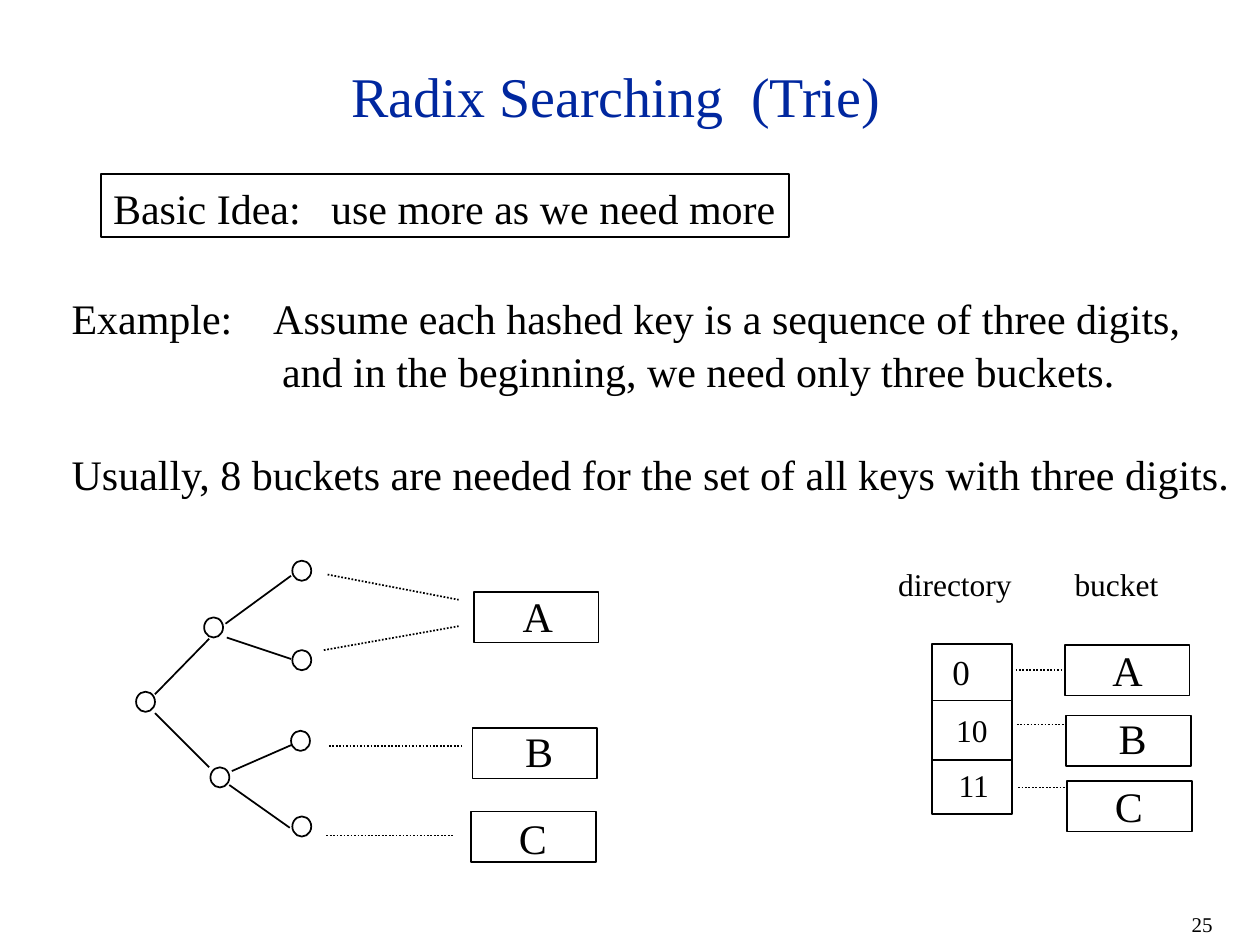
from lxml.etree import SubElement
from pptx import Presentation
from pptx.dml.color import RGBColor
from pptx.enum.dml import MSO_LINE
from pptx.enum.shapes import MSO_CONNECTOR as CONNECTOR, MSO_SHAPE as SHAPE
from pptx.enum.text import MSO_ANCHOR as ANCHOR, PP_ALIGN as ALIGN
from pptx.oxml.ns import qn
from pptx.util import Inches, Pt

BLACK = RGBColor(0x00, 0x00, 0x00)
BLUE = RGBColor(0x00, 0x27, 0x9F)
FONT = "Times New Roman"
WIDTH, HEIGHT = Inches(10), Inches(7.5)
COLUMN, ROW = WIDTH / 100, HEIGHT / 75
NODE_SIZE = (1.5, 1.6)
BUCKET_SIZE = (9.9, 4)
LABEL_SIZE = (4.4, 5)

NODES = {
    "root": (10.8, 54.9),
    "0": (16.2, 49),
    "1": (16.7, 60.9),
    "00": (23.2, 44.5),
    "01": (23.2, 51.6),
    "10": (23.1, 58),
    "11": (23.2, 64.8),
}
BRANCHES = [
    ((12.3, 55.1), (16.6, 50.7)),
    ((17.9, 49.5), (23.1, 45.7)),
    ((18, 50.6), (23.1, 52.3)),
    ((12.3, 56.6), (16.6, 60.9)),
    ((18.4, 61.2), (23.2, 59.1)),
    ((18.2, 62.3), (23, 65.7)),
]
LEAF_LINKS = [
    ((26, 45.6), (36.4, 47.6)),
    ((25.7, 51.6), (36.4, 49.7)),
    ((26.1, 59.2), (36.7, 59.2)),
    ((25.9, 66.3), (36, 66.3)),
]
DIRECTORY_LINKS = [((80.6 + i / 10, y), (84.5 + i / 10, y))
                   for i, y in enumerate((53.2, 57.5, 62.5))]
TRIE_BUCKETS = [
    ("A", (37.6, 47), (40.5, 46.2)),
    ("B", (37.5, 57.8), (40.7, 56.9)),
    ("C", (37.4, 64.4), (40.2, 63.8)),
]
DIRECTORY_BUCKETS = [
    ("A", (84.5, 51.2), (87.3, 50.5)),
    ("B", (84.6, 56.8), (87.8, 55.9)),
    ("C", (84.7, 62), (87.5, 61.3)),
]
DIRECTORY_ENTRIES = [
    ("0", (74.6, 51), 20),
    ("10", (74.9, 55.8), 18),
    ("11", (75.1, 60.2), 18),
]


def grid(*values):
    return [round(value * (ROW if i % 2 else COLUMN)) for i, value in enumerate(values)]


def apply_format(target, values):
    for name, value in values.items():
        setattr(target, name, value)


def set_indent(paragraph, tab=None, left=None):
    properties = paragraph._p.get_or_add_pPr()
    if left is not None:
        properties.set("marL", str(round(left * COLUMN)))
        properties.set("indent", "0")
    if tab is not None:
        stops = SubElement(properties, qn("a:tabLst"))
        SubElement(stops, qn("a:tab"), pos=str(round(tab * COLUMN)), algn="l")


def write(paragraph, text, size, color=BLACK, tab=None, left=None, **layout):
    set_indent(paragraph, tab, left)
    paragraph.text = text
    apply_format(paragraph, {"line_spacing": 1.04, **layout})
    apply_format(paragraph.font, {"name": FONT, "size": Pt(size)})
    paragraph.font.color.rgb = color


def add_text(slide, text, corner, size, box=LABEL_SIZE, wrap=False, anchor=ANCHOR.TOP, **style):
    frame = slide.shapes.add_textbox(*grid(*corner, *box)).text_frame
    apply_format(frame, {"word_wrap": wrap, "vertical_anchor": anchor})
    write(frame.paragraphs[0], text, size, **style)
    return frame


def add_outline(slide, kind, corner, size):
    shape = slide.shapes.add_shape(kind, *grid(*corner, *size))
    shape.shadow.inherit = False
    shape.fill.background()
    shape.line.color.rgb = BLACK
    shape.line.width = Pt(1)
    return shape


def add_line(slide, start, end, dash=None):
    connector = slide.shapes.add_connector(CONNECTOR.STRAIGHT, *grid(*start, *end))
    connector.line.color.rgb = BLACK
    apply_format(connector.line, {"width": Pt(1), "dash_style": dash})
    SubElement(connector._element.spPr, qn("a:effectLst"))


def add_buckets(slide, buckets):
    for label, corner, label_corner in buckets:
        add_outline(slide, SHAPE.RECTANGLE, corner, BUCKET_SIZE)
        add_text(slide, label, label_corner, 24)


def add_headings(slide):
    add_text(slide, "Radix Searching  (Trie)", (8.8, 3.7), 32, (80.2, 7.5), True,
             ANCHOR.MIDDLE, color=BLUE, alignment=ALIGN.CENTER)
    idea = add_outline(slide, SHAPE.RECTANGLE, (8, 13.8), (54.6, 5)).text_frame
    apply_format(idea, {"word_wrap": True, "margin_right": 0, "vertical_anchor": ANCHOR.TOP})
    write(idea.paragraphs[0], "Basic Idea:\tuse more as we need more", 24,
          tab=17.3, alignment=ALIGN.LEFT)
    example = add_text(slide, "Example:\tAssume each hashed key is a sequence of three digits,",
                       (4.7, 22.6), 24, (95, 17), True, tab=16)
    write(example.add_paragraph(), "and in the beginning, we need only three buckets.", 24, left=16.7)
    write(example.add_paragraph(),
          "Usually, 8 buckets are needed for the set of all keys with three digits.",
          24, space_before=Pt(28.8))


def add_trie(slide):
    for corner in NODES.values():
        add_outline(slide, SHAPE.OVAL, corner, NODE_SIZE)
    for start, end in BRANCHES:
        add_line(slide, start, end)
    for start, end in LEAF_LINKS:
        add_line(slide, start, end, MSO_LINE.ROUND_DOT)
    add_buckets(slide, TRIE_BUCKETS)


def add_directory(slide):
    add_text(slide, "directory\tbucket", (70.3, 44.2), 18, (22.7, 4), True, tab=14)
    add_outline(slide, SHAPE.RECTANGLE, (74, 51.1), (6.3, 13.5))
    for y in (55.6, 60.3):
        add_line(slide, (73.9, y), (80.4, y))
    for entry, corner, size in DIRECTORY_ENTRIES:
        add_text(slide, entry, corner, size, (4.5, 4))
    add_buckets(slide, DIRECTORY_BUCKETS)
    for start, end in DIRECTORY_LINKS:
        add_line(slide, start, end, MSO_LINE.ROUND_DOT)


def main():
    presentation = Presentation()
    apply_format(presentation, {"slide_width": WIDTH, "slide_height": HEIGHT})
    slide = presentation.slides.add_slide(presentation.slide_layouts[6])
    add_headings(slide)
    add_trie(slide)
    add_directory(slide)
    add_text(slide, "25", (93.6, 71.8), 12, (5, 3))
    presentation.save("out.pptx")


if __name__ == "__main__":
    main()
